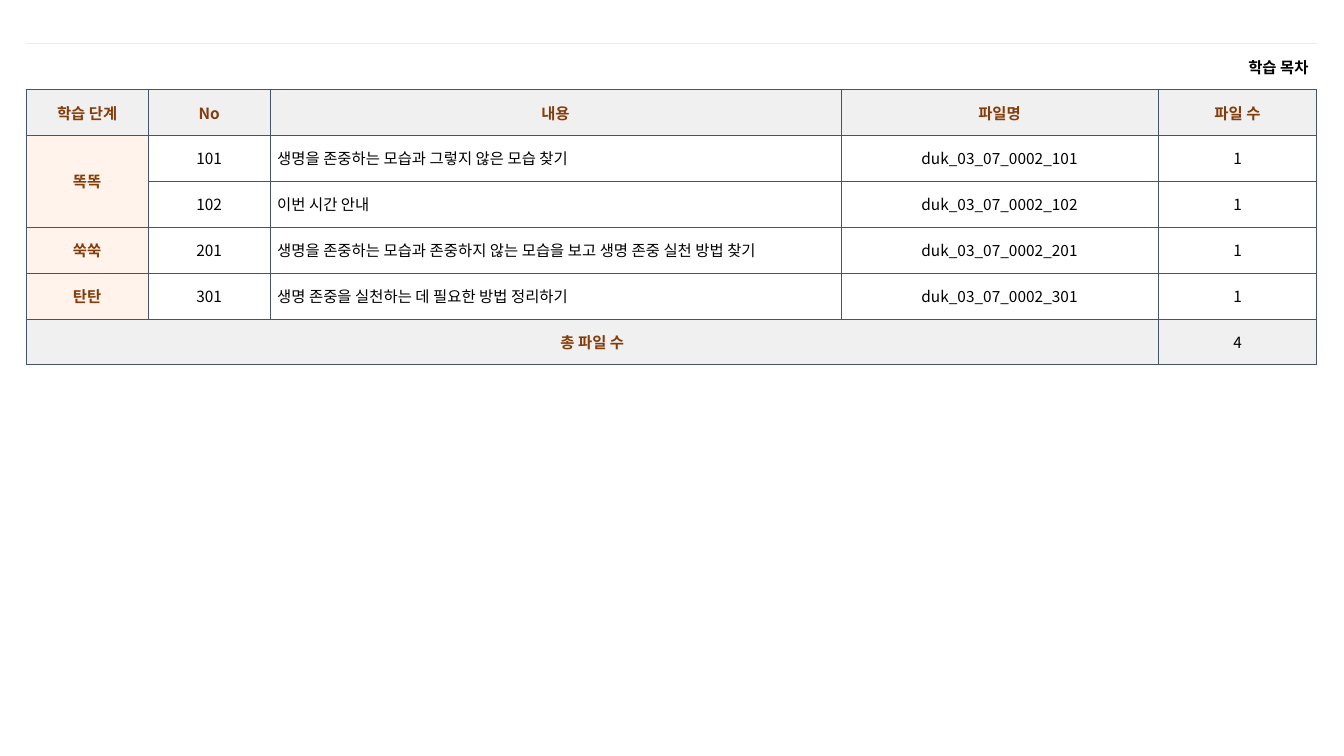
import pptx
import pptx.util
import pptx.dml.color
import pptx.enum.text
import pptx.oxml.ns
import lxml.etree

INCH = pptx.util.Inches
ALIGN = pptx.enum.text.PP_ALIGN
FONT = "Noto Sans CJK KR"
BLACK, BROWN, NAVY, PEACH = "000000", "843C0B", "44546A", "FBE5D6"
GREY, CREAM, WHITE = "F1F0F0", "FFF3EB", "FFFFFF"

# Table grid
LEFT, TOP, HEIGHT = 0.26, 0.43, 3.19
COLS = [1.21, 1.21, 5.66, 3.15, 1.57]
TITLE = "학습 목차"
ROWS = [
    [TITLE, "", "", "", ""],
    ["학습 단계", "No", "내용", "파일명", "파일 수"],
    ["똑똑", "101", "생명을 존중하는 모습과 그렇지 않은 모습 찾기", "duk_03_07_0002_101", "1"],
    ["", "102", "이번 시간 안내", "duk_03_07_0002_102", "1"],
    ["쑥쑥", "201", "생명을 존중하는 모습과 존중하지 않는 모습을 보고 생명 존중 실천 방법 찾기",
     "duk_03_07_0002_201", "1"],
    ["탄탄", "301", "생명 존중을 실천하는 데 필요한 방법 정리하기", "duk_03_07_0002_301", "1"],
    ["총 파일 수", "", "", "", "4"],
]
HEADER, TOTAL = 1, len(ROWS) - 1
MERGES = [((0, 0), (0, 4)), ((2, 0), (3, 0)), ((TOTAL, 0), (TOTAL, 3))]


def rgb(value):
    return pptx.dml.color.RGBColor.from_string(value)


def set_all(obj, values):
    for name, value in values.items():
        setattr(obj, name, value)


def add_child(parent, tag, **attrs):
    return lxml.etree.SubElement(parent, pptx.oxml.ns.qn(tag), attrs)


def set_borders(cell, lines):
    """Draw each side from a (colour, points) pair; None leaves it open."""
    tcPr = cell._tc.get_or_add_tcPr()
    for side in "LRTB":
        line = lines[side]
        if line is None:
            add_child(add_child(tcPr, f"a:ln{side}", w="0"), "a:noFill")
            continue
        color, points = line
        ln = add_child(tcPr, f"a:ln{side}", w=str(int(pptx.util.Pt(points))))
        add_child(add_child(ln, "a:solidFill"), "a:srgbClr", val=color)


def set_fill(cell, color):
    if color is None:
        cell.fill.background()
    else:
        cell.fill.solid()
        cell.fill.fore_color.rgb = rgb(color)


def write_text(cell, text, color, bold, align, inset):
    set_all(cell, {
        "vertical_anchor": pptx.enum.text.MSO_ANCHOR.MIDDLE,
        "margin_left": INCH(inset), "margin_right": INCH(inset),
        "margin_top": INCH(0.05), "margin_bottom": INCH(0.05),
    })
    p = cell.text_frame.paragraphs[0]
    p.alignment = align
    if not text:
        p.font.size = pptx.util.Pt(11)
        return
    r = p.add_run()
    r.text = text
    set_all(r.font, {"name": FONT, "size": pptx.util.Pt(11), "bold": bold})
    r.font.color.rgb = rgb(color)
    add_child(r.font._element, "a:ea", typeface=FONT)


def cell_format(row, col):
    """Return fill, text colour, bold, alignment and inset for a cell."""
    if row == 0:
        return None, BLACK, True, ALIGN.RIGHT, 0.08
    label = row == HEADER or col == 0
    fill = GREY if row in (HEADER, TOTAL) else CREAM if col == 0 else WHITE
    align = ALIGN.LEFT if col == 2 and not label else ALIGN.CENTER
    return fill, BROWN if label else BLACK, label, align, 0.07


def add_contents_table(s):
    tbl = s.shapes.add_table(len(ROWS), len(COLS), INCH(LEFT), INCH(TOP),
                             INCH(sum(COLS)), INCH(HEIGHT)).table
    set_all(tbl, {"first_row": False, "horz_banding": False})
    for column, width in zip(tbl.columns, COLS):
        column.width = INCH(width)
    for row in tbl.rows:
        row.height = INCH(HEIGHT / len(ROWS))

    # Cells: the title row is open at its sides
    grid = dict.fromkeys("LRTB", (NAVY, 0.5))
    title_lines = {"L": None, "R": None, "T": (PEACH, 0.25), "B": (NAVY, 0.5)}
    for i, texts in enumerate(ROWS):
        for j, text in enumerate(texts):
            cell = tbl.cell(i, j)
            fill, *text_format = cell_format(i, j)
            set_borders(cell, title_lines if i == 0 else grid)
            set_fill(cell, fill)
            write_text(cell, text, *text_format)

    # Merged areas
    for first, last in MERGES:
        tbl.cell(*first).merge(tbl.cell(*last))


def main():
    prs = pptx.Presentation()
    set_all(prs, {"slide_width": INCH(13.33), "slide_height": INCH(7.5)})
    s = prs.slides.add_slide(prs.slide_layouts[6])
    add_contents_table(s)
    prs.save("out.pptx")


if __name__ == "__main__":
    main()
